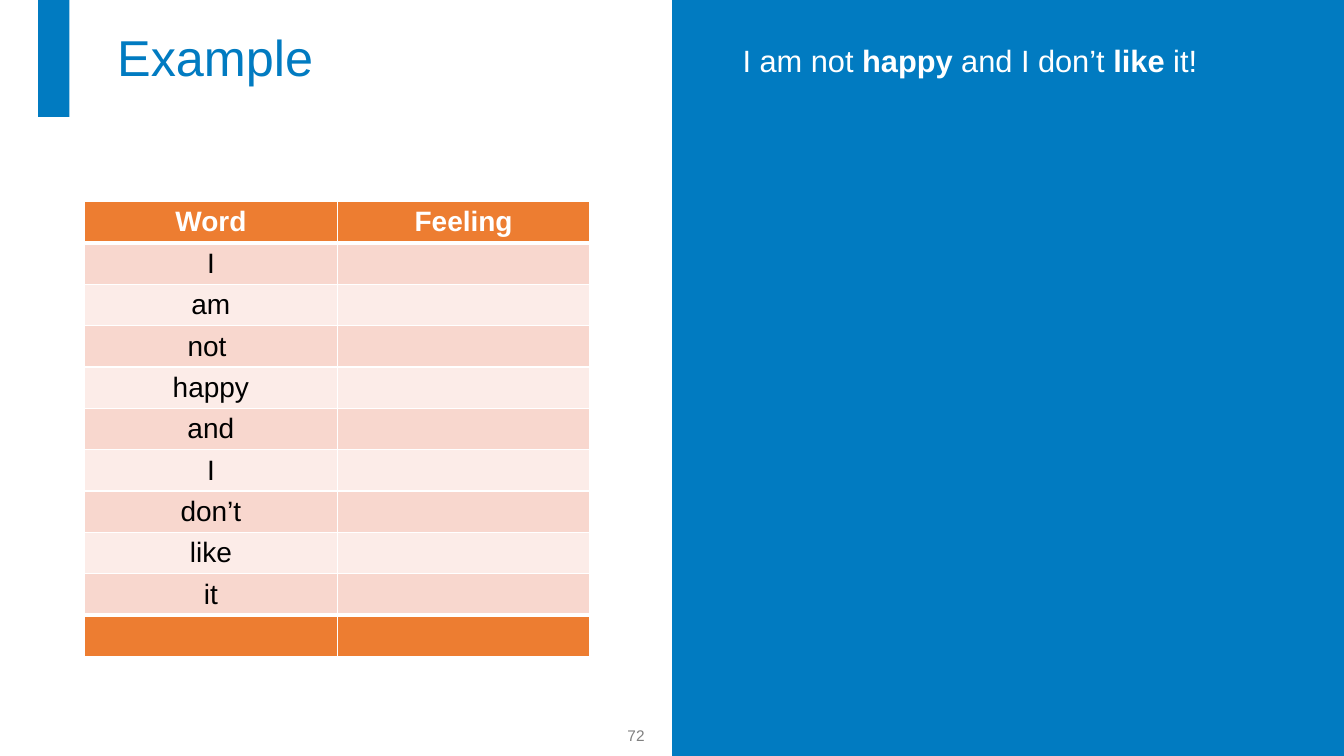
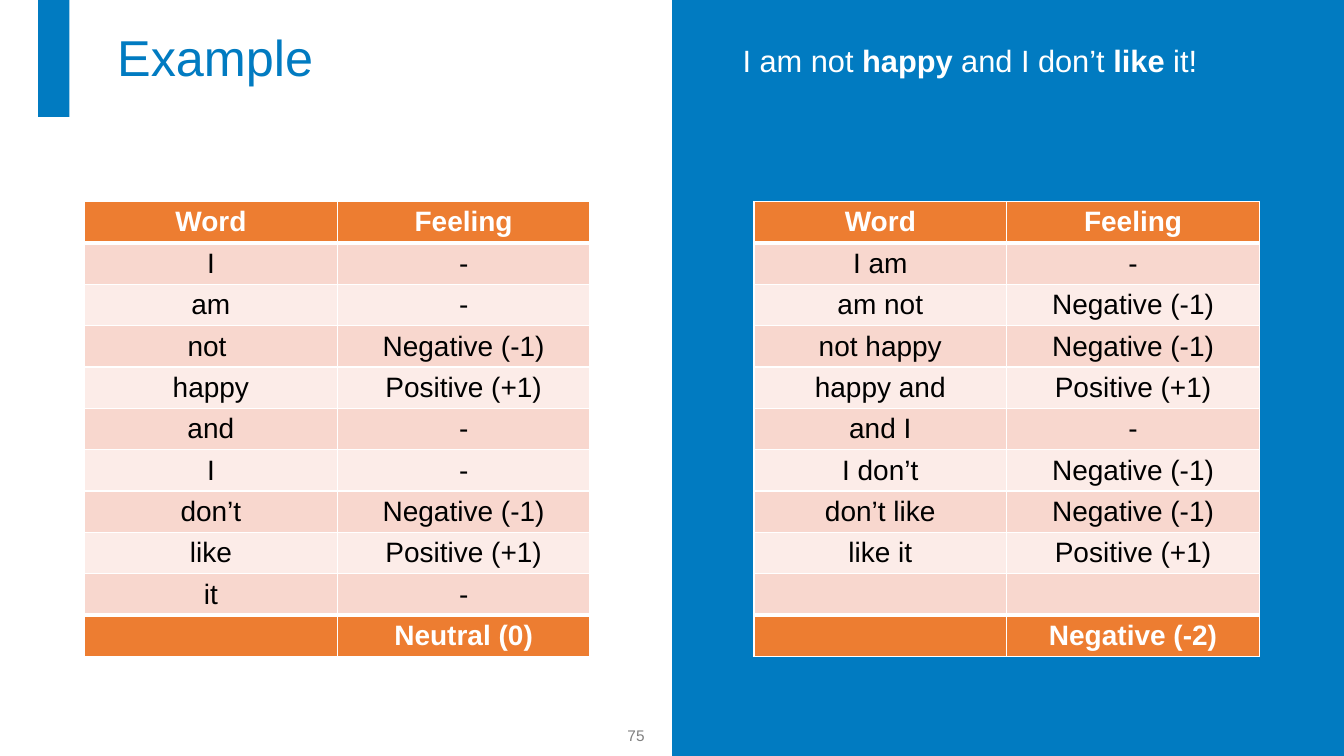
from dataclasses import dataclass

from lxml import etree
from pptx import Presentation
from pptx.dml.color import RGBColor
from pptx.enum.shapes import MSO_SHAPE
from pptx.enum.text import MSO_ANCHOR, MSO_AUTO_SIZE, PP_ALIGN
from pptx.oxml.ns import qn
from pptx.slide import Slide, SlideLayout
from pptx.table import _Cell
from pptx.text.text import _Paragraph
from pptx.util import Cm, Pt

BLUE = RGBColor(0x01, 0x7B, 0xC1)
WHITE = RGBColor(0xFF, 0xFF, 0xFF)
BLACK = RGBColor(0, 0, 0)
GREY = RGBColor(0x80, 0x80, 0x80)
ORANGE = RGBColor(0xED, 0x7D, 0x31)
ROSE = RGBColor(0xF8, 0xD7, 0xCE)
PALE = RGBColor(0xFC, 0xEC, 0xE8)

RECT = MSO_SHAPE.RECTANGLE
MIDDLE = MSO_ANCHOR.MIDDLE
TOP = MSO_ANCHOR.TOP
NO_FIT = MSO_AUTO_SIZE.NONE
LEFT = PP_ALIGN.LEFT
CENTER = PP_ALIGN.CENTER

FONT = "Arial"
WIDTH, HEIGHT = 33.87, 19.05
GRID_TOP, COL_WIDTH, ROW_HEIGHT = 5.08, 6.37, 1.04
LEFT_GRID, RIGHT_GRID = 2.13, 19
THIN, THICK = 1, 3

NONE, MINUS, PLUS = "-", "Negative (-1)", "Positive (+1)"
WORDS = ["I", "am", "not ", "happy", "and", "I", "don’t", "like", "it"]
PAIRS = ["I am", "am not", "not happy", "happy and", "and I", "I don’t",
         "don’t like", "like it", ""]
WORD_MARKS = [NONE, NONE, MINUS, PLUS, NONE, NONE, MINUS, PLUS, NONE]
PAIR_MARKS = [NONE, MINUS, MINUS, PLUS, NONE, MINUS, MINUS, PLUS, ""]
PHRASE = [("I am not ", False), ("happy", True), (" and I don’t ", False),
          ("like ", True), ("it!", False)]


@dataclass
class Box:
    left: float
    top: float
    width: float
    height: float

    def lengths(self) -> tuple[Cm, Cm, Cm, Cm]:
        return Cm(self.left), Cm(self.top), Cm(self.width), Cm(self.height)


@dataclass
class Panel:
    box: Box
    color: RGBColor


@dataclass
class Grid:
    left: float
    words: list[str]
    marks: list[str]
    total: str = ""

    def rows(self) -> list[tuple[str, str]]:
        return [("Word", "Feeling"), *zip(self.words, self.marks), ("", self.total)]


@dataclass
class Page:
    number: str
    grids: list[Grid]


PANELS = [
    Panel(Box(0, 0, WIDTH / 2, HEIGHT), WHITE),
    Panel(Box(0.96, 0, 0.79, 2.95), BLUE),
]
TITLE_BOX = Box(2.7, 0.05, 29.82, 2.95)
PHRASE_BOX = Box(18.46, 1.02, 14.66, 1.62)
NUMBER_BOX = Box(12.22, 18.03, 7.62, 1.02)
PAGES = [
    Page("72", [Grid(LEFT_GRID, WORDS, [""] * len(WORDS))]),
    Page("75", [
        Grid(LEFT_GRID, WORDS, WORD_MARKS, "Neutral (0)"),
        Grid(RIGHT_GRID, PAIRS, PAIR_MARKS, "Negative (-2)"),
    ]),
]


def write(para: _Paragraph, text: str, *, size: float, color: RGBColor,
          bold: bool = False, align: PP_ALIGN = LEFT) -> None:
    para.alignment = align
    run = para.add_run()
    run.text = text
    run.font.name = FONT
    run.font.size = Pt(size)
    run.font.bold = bold
    run.font.color.rgb = color


def place(shape, box: Box, anchor: MSO_ANCHOR) -> _Paragraph:
    shape.left, shape.top, shape.width, shape.height = box.lengths()
    frame = shape.text_frame
    frame.word_wrap = True
    frame.auto_size = NO_FIT
    frame.vertical_anchor = anchor
    return frame.paragraphs[0]


def dress(layout: SlideLayout, slide: Slide) -> None:
    fill = layout.background.fill
    fill.solid()
    fill.fore_color.rgb = BLUE
    for spot, panel in enumerate(PANELS, start=2):
        shape = slide.shapes.add_shape(RECT, *panel.box.lengths())
        shape.shadow.inherit = False
        shape.fill.solid()
        shape.fill.fore_color.rgb = panel.color
        shape.line.fill.background()
        layout.shapes._spTree.insert(spot, shape._element)


def edge(cell: _Cell, side: str, points: float) -> None:
    line = etree.SubElement(cell._tc.get_or_add_tcPr(), qn(f"a:ln{side}"),
                            w=str(Pt(points)))
    fill = etree.SubElement(line, qn("a:solidFill"))
    etree.SubElement(fill, qn("a:srgbClr"), val=str(WHITE))


def draw_grid(slide: Slide, grid: Grid) -> None:
    rows = grid.rows()
    last = len(rows) - 1
    box = Box(grid.left, GRID_TOP, 2 * COL_WIDTH, len(rows) * ROW_HEIGHT)
    table = slide.shapes.add_table(len(rows), 2, *box.lengths()).table
    table.first_row = table.horz_banding = False
    for column in table.columns:
        column.width = Cm(COL_WIDTH)
    for i, texts in enumerate(rows):
        table.rows[i].height = Cm(ROW_HEIGHT)
        strong = i in (0, last)
        shade = ORANGE if strong else ROSE if i % 2 else PALE
        above = THICK if i in (1, last) else THIN
        below = THICK if i in (0, last - 1) else THIN
        for j, text in enumerate(texts):
            cell = table.cell(i, j)
            for side, points in zip("LRTB", (THIN, THIN, above, below)):
                edge(cell, side, points)
            cell.fill.solid()
            cell.fill.fore_color.rgb = shade
            if text:
                write(cell.text_frame.paragraphs[0], text, size=20, bold=strong,
                      color=WHITE if strong else BLACK, align=CENTER)


def draw_page(slide: Slide, page: Page) -> None:
    body = place(slide.placeholders[1], PHRASE_BOX, TOP)
    props = body._p.get_or_add_pPr()
    props.set("marL", "0")
    props.set("indent", "0")
    etree.SubElement(props, qn("a:buNone"))
    body.line_spacing = 0.9
    body.space_before = Pt(0)
    for text, bold in PHRASE:
        write(body, text, size=22, color=WHITE, bold=bold)

    title = place(slide.shapes.title, TITLE_BOX, MIDDLE)
    title.line_spacing = 0.9
    write(title, "Example", size=36, color=BLUE)

    label = slide.shapes.add_textbox(*NUMBER_BOX.lengths())
    write(place(label, NUMBER_BOX, MIDDLE), page.number, size=11, color=GREY,
          align=CENTER)
    for grid in page.grids:
        draw_grid(slide, grid)


def main() -> None:
    deck = Presentation()
    deck.slide_width, deck.slide_height = Cm(WIDTH), Cm(HEIGHT)
    layout = deck.slide_layouts[1]
    slides = [deck.slides.add_slide(layout) for _ in PAGES]
    dress(layout, slides[0])
    for slide, page in zip(slides, PAGES):
        draw_page(slide, page)
    deck.save("out.pptx")


if __name__ == "__main__":
    main()
